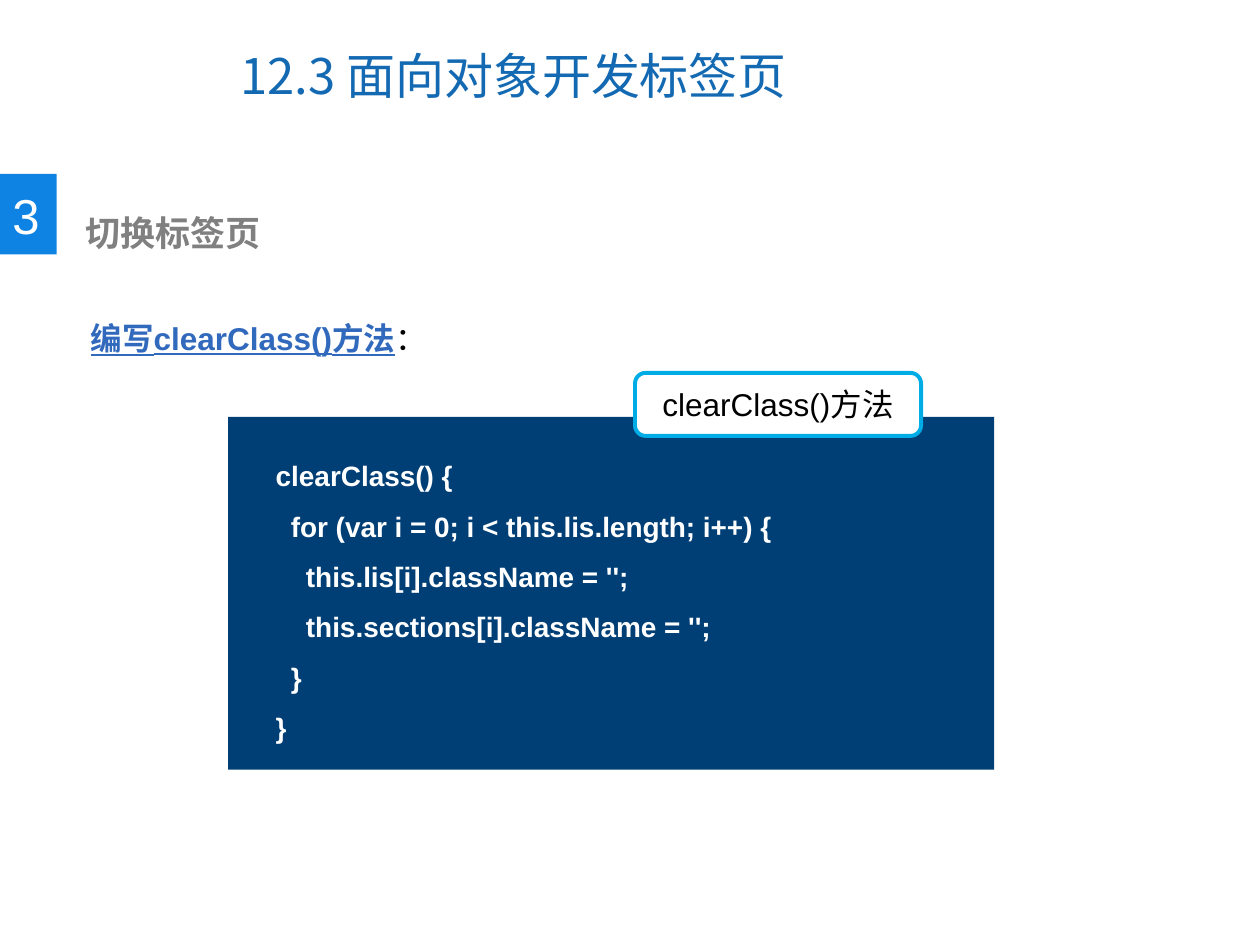
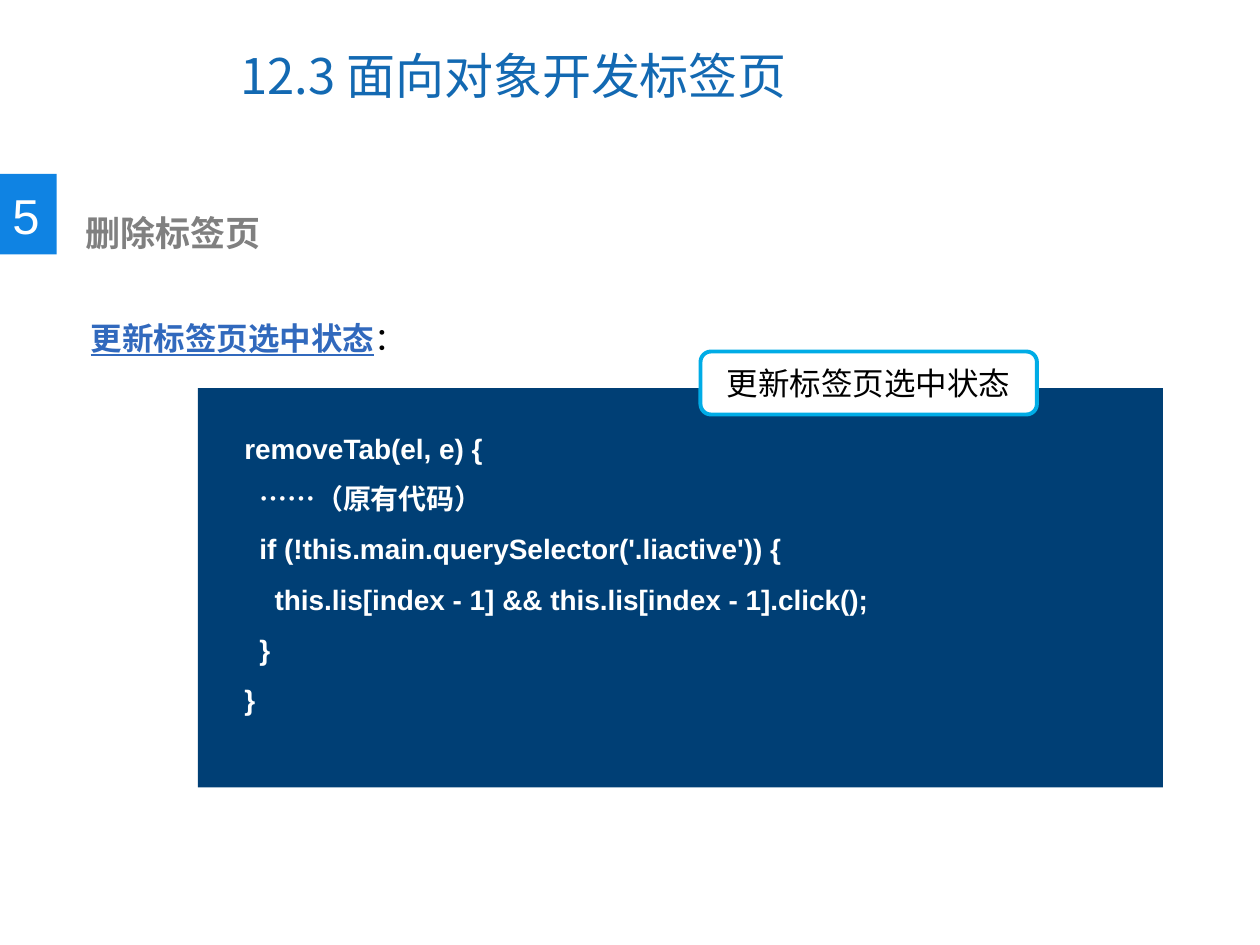
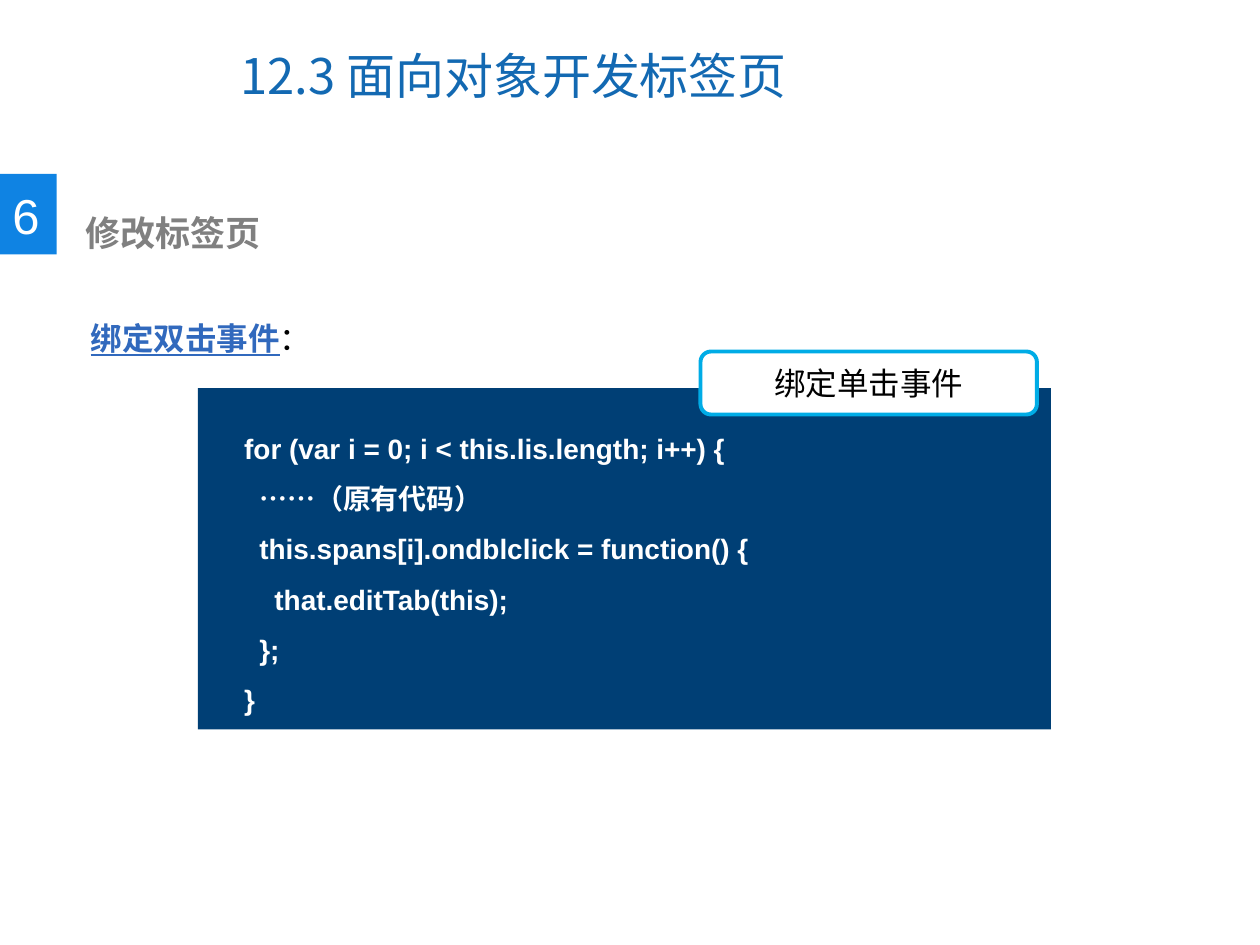
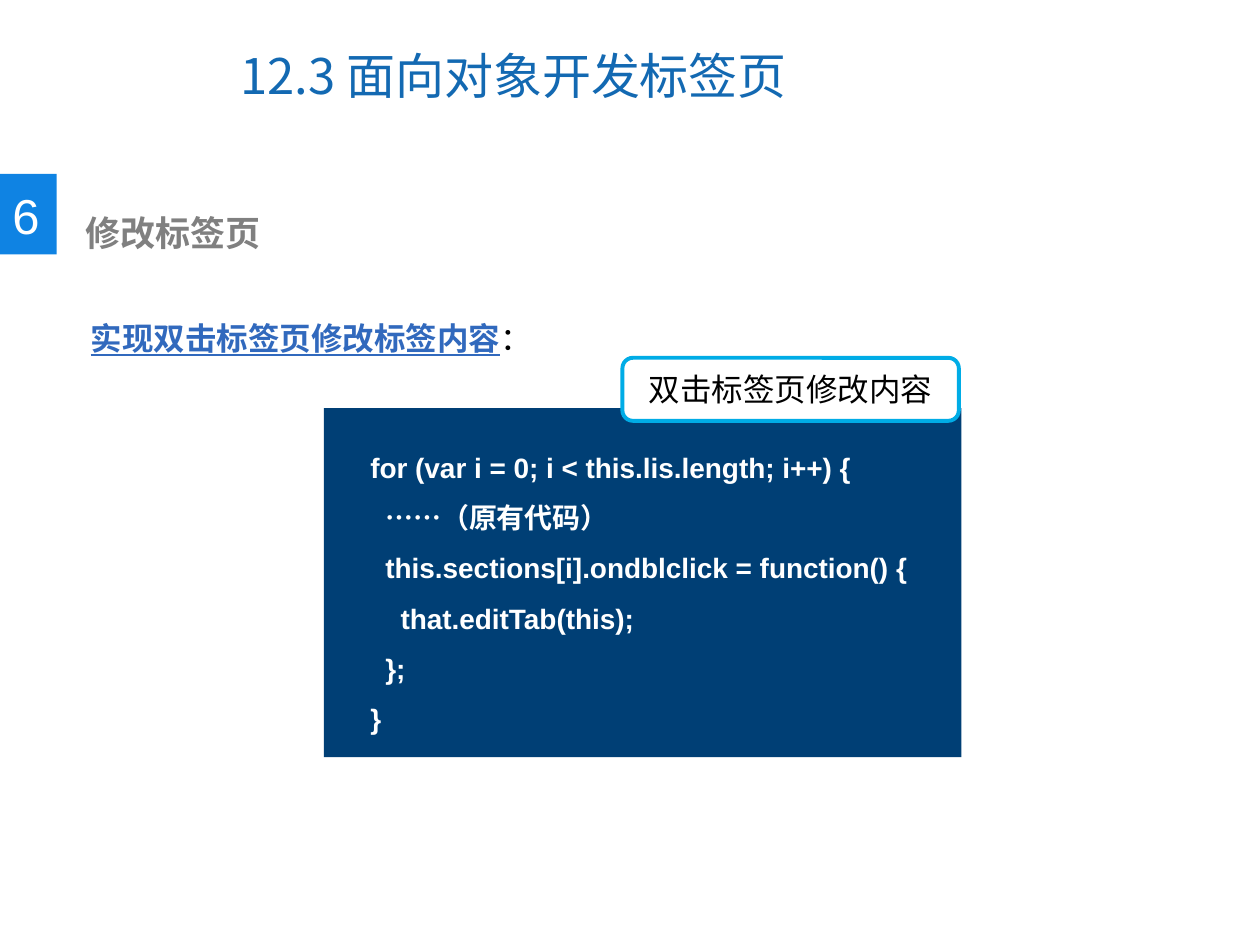
"""Build four slides on tab pages, each with a code panel and its tag."""
from pptx import Presentation
from pptx.dml.color import RGBColor as Rgb
from pptx.enum.shapes import MSO_SHAPE as Kind
from pptx.enum.text import MSO_ANCHOR as Anchor, PP_ALIGN as Align
from pptx.oxml.ns import qn
from pptx.util import Inches, Pt

SANS, HAN = "Arial", "Noto Sans CJK SC"
BLACK, WHITE, GRAY = "000000", "FFFFFF", "808080"
BLUE, SKY, NAVY, CYAN, LINK = "1369B2", "0F83E3", "003F75", "00ACE6", "3169BD"
STEP = 0.12

PAGES = [
    ("3", "切换标签页", "编写clearClass()方法", "clearClass()方法",
     (1.81, 3.31, 6.08, 2.8), (5.04, 2.96, 2.27, 0.5), (2.09, 3.46, 5.56, 2.47),
     [(0, "clearClass() {"),
      (1, "for (var i = 0; i < this.lis.length; i++) {"),
      (2, "this.lis[i].className = '';"),
      (2, "this.sections[i].className = '';"),
      (1, "}"), (0, "}")]),
    ("5", "删除标签页", "更新标签页选中状态", "更新标签页选中状态",
     (1.57, 3.08, 7.66, 3.17), (5.56, 2.79, 2.67, 0.5), (1.84, 3.24, 7.39, 2.47),
     [(0, "removeTab(el, e) {"),
      (1, "……（原有代码）"),
      (1, "if (!this.main.querySelector('.liactive')) {"),
      (2, "this.lis[index - 1] && this.lis[index - 1].click();"),
      (1, "}"), (0, "}")]),
    ("6", "修改标签页", "绑定双击事件", "绑定单击事件",
     (1.57, 3.08, 6.77, 2.71), (5.56, 2.79, 2.67, 0.5), (1.84, 3.24, 6.5, 2.52),
     [(0, "for (var i = 0; i < this.lis.length; i++) {"),
      (1, "……（原有代码）"),
      (1, "this.spans[i].ondblclick = function() {"),
      (2, "that.editTab(this);"),
      (1, "};"), (0, "}")]),
    ("6", "修改标签页", "实现双击标签页修改标签内容", "双击标签页修改内容",
     (2.57, 3.24, 5.06, 2.77), (4.94, 2.84, 2.67, 0.5), (2.84, 3.39, 4.78, 2.52),
     [(0, "for (var i = 0; i < this.lis.length; i++) {"),
      (1, "……（原有代码）"),
      (1, "this.sections[i].ondblclick = function() {"),
      (2, "that.editTab(this);"),
      (1, "};"), (0, "}")]),
]


def say(par, text, size, hue, face=SANS, bold=False, under=False):
    run = par.add_run()
    run.text = text
    font = run.font
    font.size, font.name, font.bold, font.underline = Pt(size), face, bold, under
    font.color.rgb = Rgb.from_string(hue)
    east = run._r.get_or_add_rPr().makeelement(qn("a:ea"), {"typeface": HAN})
    font._element.find(qn("a:latin")).addnext(east)


def place(shapes, area, fill=None, kind=Kind.RECTANGLE):
    spot = [Inches(n) for n in area]
    if fill is None:
        box = shapes.add_textbox(*spot)
        box.text_frame.word_wrap = True
        return box
    box = shapes.add_shape(kind, *spot)
    box.shadow.inherit = False
    box.fill.solid()
    box.fill.fore_color.rgb = Rgb.from_string(fill)
    box.line.fill.background()
    return box


deck = Presentation()
deck.slide_width, deck.slide_height = Inches(10), Inches(7.5)

for num, head, task, label, panel, tag, code, lines in PAGES:
    shapes = deck.slides.add_slide(deck.slide_layouts[6]).shapes

    badge = shapes.add_group_shape().shapes
    place(badge, (0, 1.38, 0.45, 0.64), SKY)
    digit = place(badge, (0, 1.42, 0.42, 0.57)).text_frame
    digit.word_wrap = False
    say(digit.paragraphs[0], num, 28, WHITE)

    topic = place(shapes, (0.47, 1.63, 5.14, 0.44)).text_frame
    topic.margin_left = Inches(0.21)
    say(topic.paragraphs[0], head, 20, GRAY, HAN, bold=True)

    par = place(shapes, (0.62, 2.18, 8.65, 0.61)).text_frame.paragraphs[0]
    par.line_spacing = 2.0
    say(par, task, 18, LINK, bold=True, under=True)
    say(par, "：", 18, BLACK)

    place(shapes, panel, NAVY)
    chip = place(shapes, tag, WHITE, Kind.ROUNDED_RECTANGLE)
    chip.line.color.rgb = Rgb.from_string(CYAN)
    chip.line.width = Pt(2.25)
    par = chip.text_frame.paragraphs[0]
    par.alignment = Align.CENTER
    say(par, label, 18, BLACK)

    frame = place(shapes, code).text_frame
    for row, (depth, line) in enumerate(lines):
        par = frame.add_paragraph() if row else frame.paragraphs[0]
        par.line_spacing = 1.5
        par._p.get_or_add_pPr().set("marL", str(Inches(STEP * depth)))
        say(par, line, 16, WHITE, bold=True)

    title = place(shapes, (1.81, 0.17, 5.16, 0.85)).text_frame
    title.vertical_anchor = Anchor.MIDDLE
    say(title.paragraphs[0], "12.3 面向对象开发标签页", 28, BLUE, HAN)

deck.save("out.pptx")
